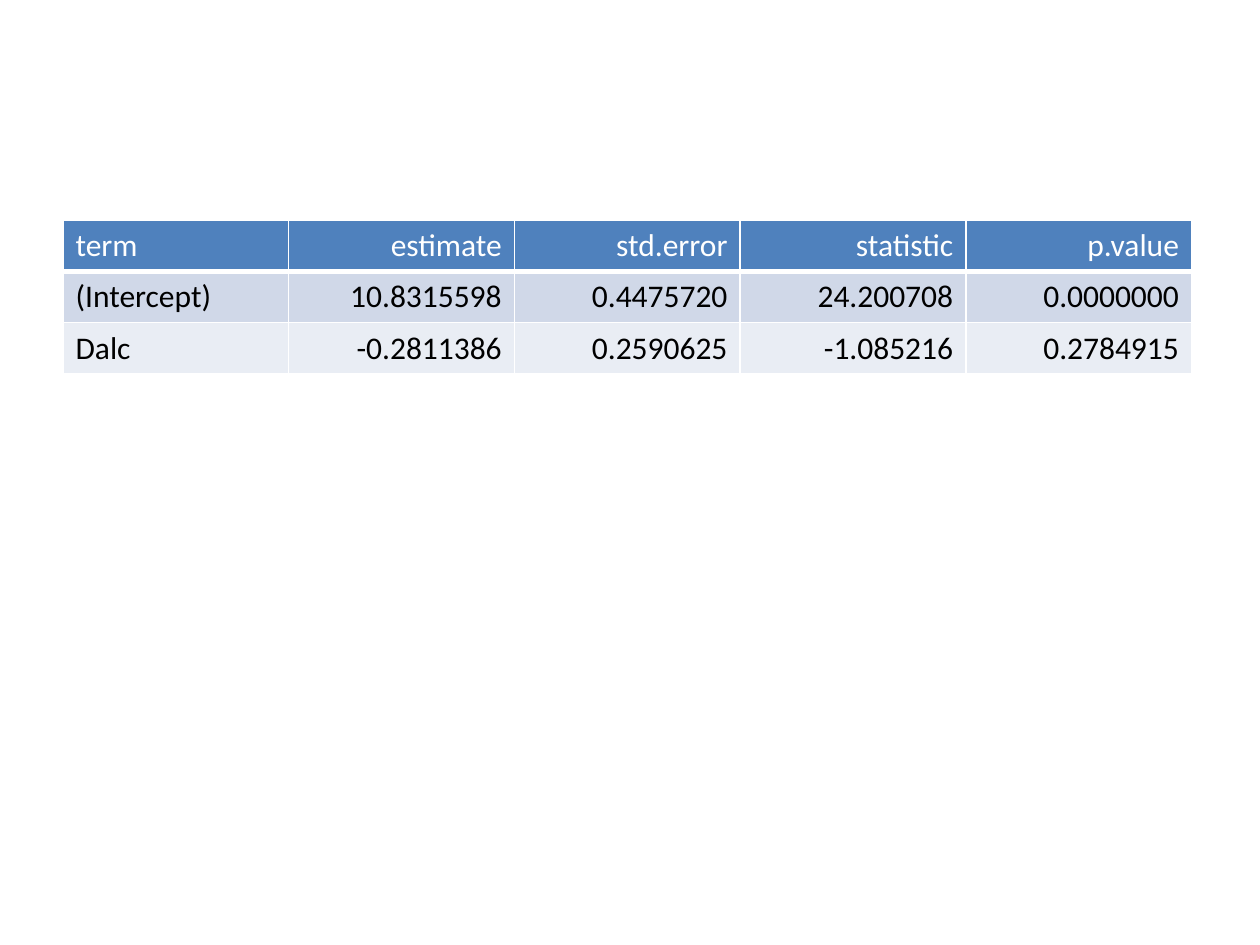
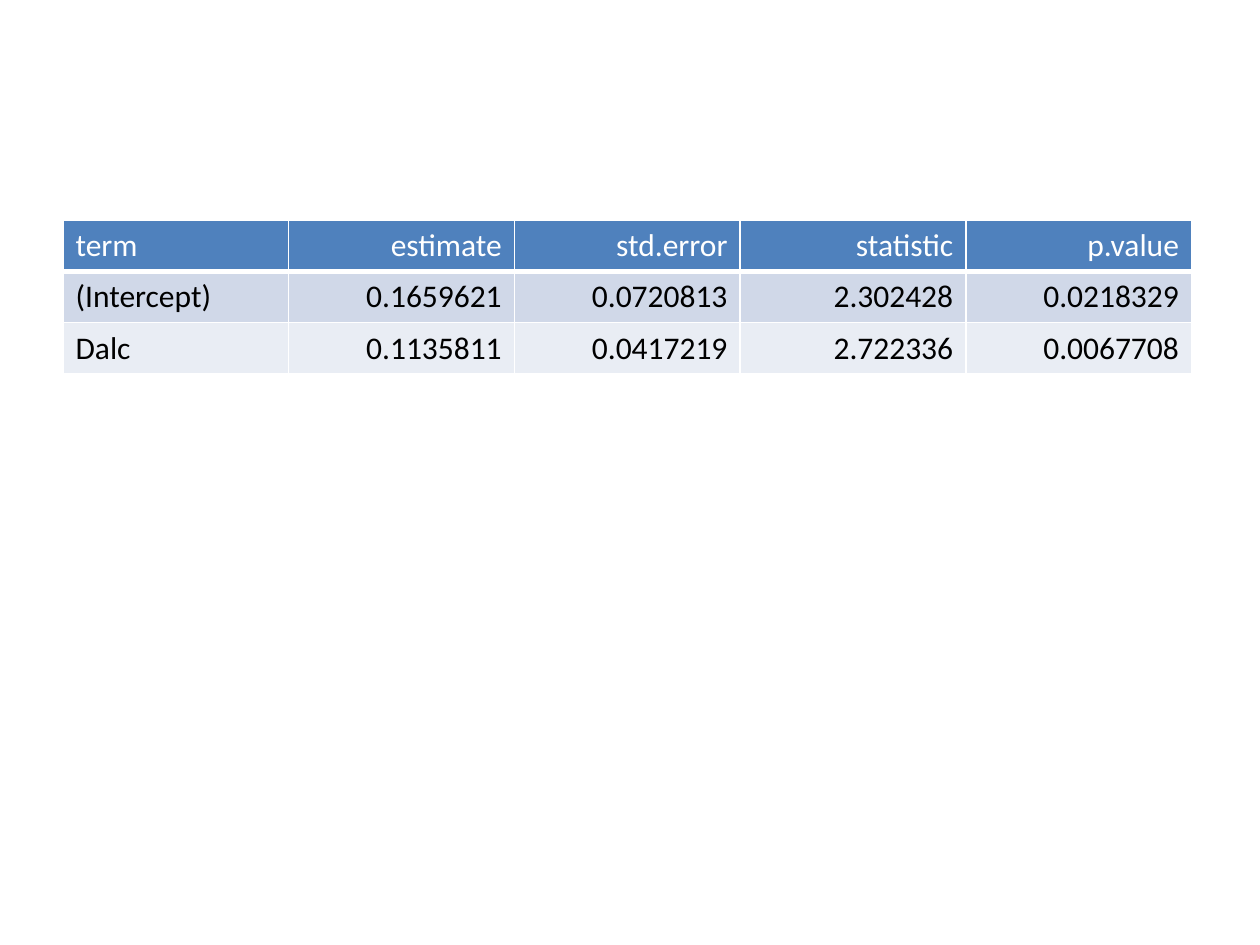
from dataclasses import dataclass

from lxml import etree
from pptx import Presentation
from pptx import util as u
from pptx.dml.color import RGBColor
from pptx.enum import text
from pptx.oxml import ns


@dataclass(frozen=True)
class Theme:
    """Colours, font and sizes shared by the slides."""
    font: str = "Calibri"
    size: float = 18
    white: str = "FFFFFF"
    black: str = "000000"
    head: str = "4F81BD"
    bands: tuple = ("D0D8E8", "E9EDF4")
    line: float = 1
    rule: float = 3


THEME = Theme()
PAGE = (720, 540)
BOX = (36, 126, 648, 355.5)
COL, ROW = 129, 29.2
HEADS = ("term", "estimate", "std.error", "statistic", "p.value")
MODELS = (
    (("(Intercept)", "10.8315598", "0.4475720", "24.200708", "0.0000000"),
     ("Dalc", "-0.2811386", "0.2590625", "-1.085216", "0.2784915")),
    (("(Intercept)", "0.1659621", "0.0720813", "2.302428", "0.0218329"),
     ("Dalc", "0.1135811", "0.0417219", "2.722336", "0.0067708")),
)


def edge(cell, widths):
    """Draw white borders of the given widths ahead of the cell fill."""
    props = cell._tc.get_or_add_tcPr()
    for spot, (side, width) in enumerate(widths.items()):
        line = etree.Element(ns.qn(f"a:ln{side}"), w=str(u.Pt(width)))
        fill = etree.SubElement(line, ns.qn("a:solidFill"))
        etree.SubElement(fill, ns.qn("a:srgbClr"), val=THEME.white)
        props.insert(spot, line)


def write(cell, words, fill, ink, align):
    """Fill one cell and set its text."""
    cell.fill.solid()
    cell.fill.fore_color.rgb = RGBColor.from_string(fill)
    para = cell.text_frame.paragraphs[0]
    para.alignment = align
    run = para.add_run()
    run.text = words
    style = {"name": THEME.font, "size": u.Pt(THEME.size), "bold": False}
    for key, value in style.items():
        setattr(run.font, key, value)
    run.font.color.rgb = RGBColor.from_string(ink)


def grid(slide, box, rows):
    """Place a table of model terms in the box."""
    left, top, width, height = map(u.Pt, box)
    frame = slide.shapes.add_table(
        len(rows), len(HEADS), left, top, width, height)
    table = frame.table
    for col in table.columns:
        col.width = u.Pt(COL)
    for r, row in enumerate(rows):
        table.rows[r].height = u.Pt(ROW)
        fill = THEME.bands[(r - 1) % 2] if r else THEME.head
        ink = THEME.black if r else THEME.white
        base = THEME.line if r else THEME.rule
        for c, words in enumerate(row):
            align = text.PP_ALIGN.RIGHT if c else text.PP_ALIGN.LEFT
            cell = table.cell(r, c)
            write(cell, words, fill, ink, align)
            edge(cell, {**dict.fromkeys("LRT", THEME.line), "B": base})
    frame.width, frame.height = width, height


def main():
    """Build one slide for each model."""
    deck = Presentation()
    deck.slide_width, deck.slide_height = map(u.Pt, PAGE)
    for model in MODELS:
        slide = deck.slides.add_slide(deck.slide_layouts[6])
        grid(slide, BOX, (HEADS, *model))
    deck.save("out.pptx")


if __name__ == "__main__":
    main()
